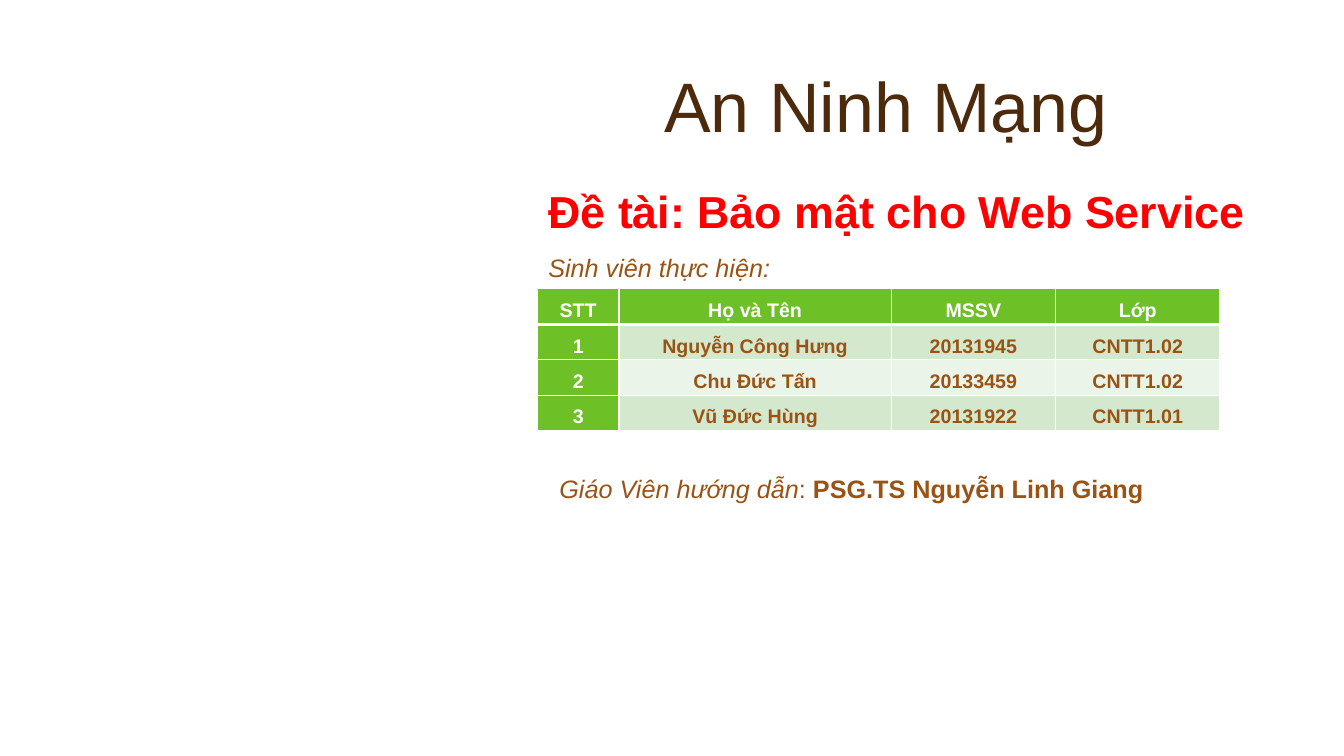
from dataclasses import dataclass

from lxml.etree import SubElement
from pptx import Presentation
from pptx.dml.color import RGBColor
from pptx.enum.text import MSO_ANCHOR, PP_ALIGN
from pptx.oxml.ns import qn
from pptx.util import Pt

EMU_PER_PX = 9144
COLUMN_WIDTHS = (81, 270, 163, 163)
HEADER_HEIGHT, ROW_HEIGHT = 36, 33
STUDENTS = (
    ("STT", "Họ và Tên", "MSSV", "Lớp"),
    ("1", "Nguyễn Công Hưng", "20131945", "CNTT1.02"),
    ("2", "Chu Đức Tấn", "20133459", "CNTT1.02"),
    ("3", "Vũ Đức Hùng", "20131922", "CNTT1.01"),
)


@dataclass(frozen=True)
class Theme:
    """Colours, font and type sizes of the slide."""

    font: str = "Arial"
    title: str = "4D2A0B"
    topic: str = "FF0000"
    body: str = "9A5315"
    white: str = "FFFFFF"
    header: str = "6DC025"
    bands: tuple = ("EBF4E8", "D4E8CD")
    title_size: int = 50
    topic_size: int = 32
    body_size: int = 18
    table_size: int = 14


THEME = Theme()


def px(length):
    """Turn whole pixels into EMU."""
    return length * EMU_PER_PX


def add_run(paragraph, text, size, colour, bold=False, italic=False):
    """Append one styled run to a paragraph."""
    run = paragraph.add_run()
    run.text = text
    run.font.name = THEME.font
    run.font.size = Pt(size)
    run.font.bold = bold
    run.font.italic = italic
    run.font.color.rgb = RGBColor.from_string(colour)


def add_text(slide, box, spacing=1.0, anchor=MSO_ANCHOR.TOP):
    """Add a text box and return its first paragraph."""
    frame = slide.shapes.add_textbox(*map(px, box)).text_frame
    frame.word_wrap = True
    frame.vertical_anchor = anchor
    paragraph = frame.paragraphs[0]
    paragraph.line_spacing = spacing
    return paragraph


def add_borders(cell, bottom_width):
    """Draw white borders round a table cell."""
    properties = cell._tc.get_or_add_tcPr()
    widths = {"a:lnL": 1, "a:lnR": 1, "a:lnT": 1, "a:lnB": bottom_width}
    for index, (tag, width) in enumerate(widths.items()):
        line = SubElement(properties, qn(tag), w=str(Pt(width)))
        fill = SubElement(line, qn("a:solidFill"))
        SubElement(fill, qn("a:srgbClr"), val=THEME.white)
        properties.insert(index, line)


def style_cell(cell, text, row, column):
    """Fill one cell according to its place in the table."""
    is_heading = row == 0 or column == 0
    cell.margin_left = cell.margin_right = px(7)
    cell.margin_top = cell.margin_bottom = 0
    cell.fill.solid()
    fill = THEME.header if is_heading else THEME.bands[row % 2]
    cell.fill.fore_color.rgb = RGBColor.from_string(fill)
    add_borders(cell, 3 if row == 0 else 1)
    paragraph = cell.text_frame.paragraphs[0]
    paragraph.alignment = PP_ALIGN.CENTER
    paragraph.line_spacing = 1.5
    colour = THEME.white if is_heading else THEME.body
    add_run(paragraph, text, THEME.table_size, colour, bold=True)


def add_student_table(slide, left, top):
    """Add the table of students."""
    heights = [HEADER_HEIGHT] + [ROW_HEIGHT] * (len(STUDENTS) - 1)
    box = (left, top, sum(COLUMN_WIDTHS), sum(heights))
    table = slide.shapes.add_table(
        len(STUDENTS), len(COLUMN_WIDTHS), *map(px, box)
    ).table
    for column, width in zip(table.columns, COLUMN_WIDTHS):
        column.width = px(width)
    for row, height in zip(table.rows, heights):
        row.height = px(height)
    for row, values in enumerate(STUDENTS):
        for column, text in enumerate(values):
            style_cell(table.cell(row, column), text, row, column)


def main():
    """Build and save the slide."""
    presentation = Presentation()
    presentation.slide_width = px(1333)
    presentation.slide_height = px(750)
    slide = presentation.slides.add_slide(presentation.slide_layouts[6])

    title = add_text(slide, (649, 0, 568, 151), 0.9, MSO_ANCHOR.BOTTOM)
    add_run(title, "An Ninh Mạng", THEME.title_size, THEME.title)

    topic = add_text(slide, (534, 177, 729, 69))
    add_run(topic, "Đề tài: Bảo mật cho Web Service",
            THEME.topic_size, THEME.topic, bold=True)

    add_student_table(slide, 533, 286)

    students = add_text(slide, (534, 241, 383, 45), 1.15)
    add_run(students, "Sinh viên thực hiện:",
            THEME.body_size, THEME.body, italic=True)

    teacher = add_text(slide, (545, 450, 612, 56), 1.5)
    add_run(teacher, "Giáo Viên hướng dẫn",
            THEME.body_size, THEME.body, italic=True)
    add_run(teacher, ": ", THEME.body_size, THEME.body)
    add_run(teacher, "PSG.TS Nguyễn Linh Giang",
            THEME.body_size, THEME.body, bold=True)

    presentation.save("out.pptx")


if __name__ == "__main__":
    main()
